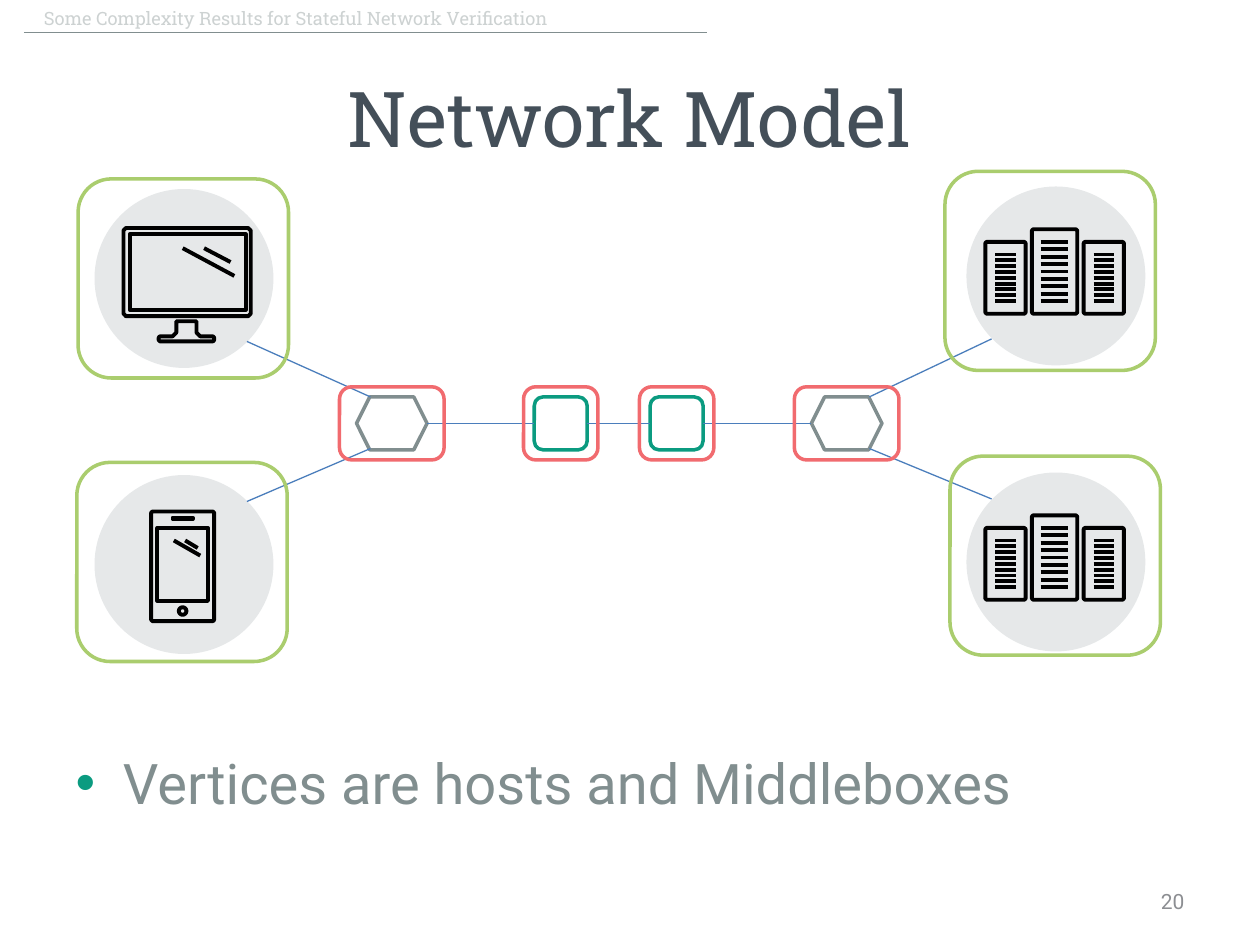
from dataclasses import dataclass
from math import cos, pi, sin

from lxml.etree import SubElement
from pptx import Presentation
from pptx.dml.color import RGBColor
from pptx.enum.shapes import MSO_CONNECTOR, MSO_SHAPE
from pptx.enum.text import MSO_ANCHOR, PP_ALIGN
from pptx.oxml.ns import qn
from pptx.util import Inches, Pt


@dataclass(frozen=True)
class Theme:
    heading_font: str = "Roboto Slab"
    body_font: str = "Roboto"
    title: str = "444F59"
    gray: str = "818E8F"
    header: str = "CDD2D2"
    number: str = "8C8E92"
    disc: str = "E6E8E9"
    icon: str = "000000"
    link: str = "4B7EBC"
    teal: str = "0B9B80"
    middlebox: str = "F16B6F"
    host: str = "AACD6E"
    title_size: float = 44
    body_size: float = 32
    number_size: float = 12
    header_size: float = 10.5
    thin: float = 0.75
    frame: float = 2
    icon_line: float = 2.25


THEME = Theme()
DISC = 1.42
MID_Y = 3.36


def rgb(value):
    return RGBColor.from_string(value)


def format_run(p, font, size, color):
    f = p.runs[0].font
    f.name, f.size, f.color.rgb = font, Pt(size), rgb(color)


def add_label(slide, box, text, font, size, color, align=PP_ALIGN.LEFT):
    tf = slide.shapes.add_textbox(*map(Inches, box)).text_frame
    tf.word_wrap = True
    tf.vertical_anchor = MSO_ANCHOR.MIDDLE
    tf.margin_top = tf.margin_bottom = 0
    tf.text = text
    tf.paragraphs[0].alignment = align
    format_run(tf.paragraphs[0], font, size, color)


def fill_placeholder(sp, box, text, font, size, color):
    sp.left, sp.top, sp.width, sp.height = map(Inches, box)
    sp.text_frame.text = text
    p = sp.text_frame.paragraphs[0]
    format_run(p, font, size, color)
    return p


def style_outline(sp, color, width):
    sp.shadow.inherit = False
    sp.fill.background()
    sp.line.color.rgb = rgb(color)
    sp.line.width = Pt(width)


def add_frame(slide, kind, box, color):
    sp = slide.shapes.add_shape(kind, *map(Inches, box))
    style_outline(sp, color, THEME.frame)
    return sp


def add_centered(slide, kind, center_x, width, height, color):
    """Place an outlined shape on the middle line of the network."""
    box = (center_x - width / 2, MID_Y - height / 2, width, height)
    return add_frame(slide, kind, box, color)


def add_line(shapes, start, end, color, width):
    line = shapes.add_connector(MSO_CONNECTOR.STRAIGHT,
                                *map(Inches, (*start, *end)))
    line.line.color.rgb = rgb(color)
    line.line.width = Pt(width)
    SubElement(line._element.spPr, qn("a:effectLst"))
    return line


def rounded(x, y, w, h, c=0.0):
    """Return the points of a rectangle whose corners are cut by c."""
    if not c:
        return [(x, y), (x + w, y), (x + w, y + h), (x, y + h)]
    return [(x + c, y), (x + w - c, y), (x + w, y + c), (x + w, y + h - c),
            (x + w - c, y + h), (x + c, y + h), (x, y + h - c), (x, y + c)]


def circle(x, y, radius, steps=16):
    angles = [2 * pi * i / steps for i in range(steps)]
    return [(x + radius * cos(a), y + radius * sin(a)) for a in angles]


def add_outline(shapes, origin, *contours):
    """Draw contours in one freeform; two points make an open stroke."""
    builder = None
    for contour in contours:
        pts = [(Inches(origin[0] + x), Inches(origin[1] + y))
               for x, y in contour]
        if builder is None:
            builder = shapes.build_freeform(*pts[0], scale=1.0)
        else:
            builder.move_to(*pts[0])
        builder.add_line_segments(pts[1:], close=len(pts) > 2)
    style_outline(builder.convert_to_shape(), THEME.icon, THEME.icon_line)


def add_icon_line(shapes, origin, start, end):
    left, top = origin
    add_line(shapes, (left + start[0], top + start[1]),
             (left + end[0], top + end[1]), THEME.icon, THEME.icon_line)


def add_disc(slide, origin):
    """Start an icon group with its round background."""
    shapes = slide.shapes.add_group_shape().shapes
    sp = shapes.add_shape(MSO_SHAPE.OVAL,
                          *map(Inches, (*origin, DISC, DISC)))
    sp.shadow.inherit = False
    sp.fill.solid()
    sp.fill.fore_color.rgb = rgb(THEME.disc)
    sp.line.fill.background()
    return shapes


def add_servers(slide, origin):
    shapes = add_disc(slide, origin)
    bottom, last_slat, slats = 1.01, 0.91, 9
    for x, y, w, inset in ((0.15, 0.44, 0.32, 0.08), (0.93, 0.44, 0.32, 0.08),
                           (0.52, 0.34, 0.36, 0.07)):
        add_outline(shapes, origin, rounded(x, y, w, bottom - y, 0.01))
        first = y + 0.1
        for i in range(slats):
            slat_y = first + i * (last_slat - first) / (slats - 1)
            add_icon_line(shapes, origin, (x + inset, slat_y),
                          (x + w - inset, slat_y))


def add_phone(slide, origin):
    add_outline(add_disc(slide, origin), origin,
                rounded(0.45, 0.29, 0.5, 0.87, 0.01),
                rounded(0.62, 0.34, 0.16, 0.01),
                circle(0.7, 1.08, 0.03),
                rounded(0.5, 0.42, 0.4, 0.58),
                [(0.72, 0.52), (0.82, 0.58)],
                [(0.63, 0.52), (0.84, 0.64)])


def add_monitor(slide, origin):
    shapes = add_disc(slide, origin)
    add_outline(shapes, origin, rounded(0.23, 0.31, 1.01, 0.7, 0.02),
                rounded(0.28, 0.36, 0.92, 0.6))
    right_half = [(0.81, 1.05), (0.81, 1.14), (0.84, 1.17), (0.94, 1.17),
                  (0.95, 1.18), (0.95, 1.2), (0.94, 1.21)]
    left_half = [(1.46 - x, y) for x, y in reversed(right_half)]
    add_outline(shapes, origin, right_half + left_half)
    add_icon_line(shapes, origin, (0.87, 0.47), (1.08, 0.58))
    add_icon_line(shapes, origin, (0.7, 0.47), (1.11, 0.69))


def add_network(slide):
    add_servers(slide, (7.67, 1.48))
    add_phone(slide, (0.75, 3.77))
    add_monitor(slide, (0.75, 1.5))
    add_servers(slide, (7.67, 3.75))

    switch_xs, box_xs = (3.11, 6.72), (4.45, 5.37)
    for x in switch_xs:
        add_centered(slide, MSO_SHAPE.HEXAGON, x, 0.56, 0.42, THEME.gray)
    left_box, right_box = [
        add_centered(slide, MSO_SHAPE.ROUNDED_RECTANGLE, x, 0.42, 0.42,
                     THEME.teal) for x in box_xs]

    for start, end in (((1.96, 3.98), (2.94, 3.56)),
                       ((1.96, 2.71), (2.94, 3.15)),
                       ((6.9, 3.15), (7.87, 2.69)),
                       ((6.9, 3.56), (7.87, 3.96))):
        add_line(slide.shapes, start, end, THEME.link, THEME.thin)
    for x1, x2, begin, end in ((3.39, 4.24, None, left_box),
                               (4.66, 5.16, left_box, right_box),
                               (5.58, 6.44, right_box, None)):
        line = add_line(slide.shapes, (x1, MID_Y), (x2, MID_Y),
                        THEME.link, THEME.thin)
        if begin:
            line.begin_connect(begin, 3)
        if end:
            line.end_connect(end, 1)

    for xs, width in ((switch_xs, 0.83), (box_xs, 0.59)):
        for x in xs:
            add_centered(slide, MSO_SHAPE.ROUNDED_RECTANGLE, x, width, 0.58,
                         THEME.middlebox)
    for corner in ((0.62, 1.42), (0.61, 3.67), (7.5, 1.36), (7.54, 3.62)):
        add_frame(slide, MSO_SHAPE.ROUNDED_RECTANGLE, (*corner, 1.67, 1.58),
                  THEME.host)


def main():
    prs = Presentation()
    prs.slide_width, prs.slide_height = Inches(10), Inches(7.5)
    slide = prs.slides.add_slide(prs.slide_layouts[1])
    t = THEME

    add_label(slide, (0.25, 0.06, 4.88, 0.17),
              "Some Complexity Results for Stateful Network Veriﬁcation",
              t.heading_font, t.header_size, t.header)
    add_line(slide.shapes, (0.19, 0.26), (5.61, 0.26), t.gray, t.thin)
    fill_placeholder(slide.shapes.title, (0.5, 0.3, 9, 1.25), "Network Model",
                     t.heading_font, t.title_size, t.title)
    add_label(slide, (7.17, 6.95, 2.33, 0.4), "20", t.body_font,
              t.number_size, t.number, PP_ALIGN.RIGHT)
    add_network(slide)
    p = fill_placeholder(slide.placeholders[1], (0.5, 5.89, 9, 1.33),
                         "Vertices are hosts and Middleboxes",
                         t.body_font, t.body_size, t.gray)
    bullet_color = SubElement(p._p.get_or_add_pPr(), qn("a:buClr"))
    SubElement(bullet_color, qn("a:srgbClr"), val=t.teal)

    prs.save("out.pptx")


if __name__ == "__main__":
    main()
